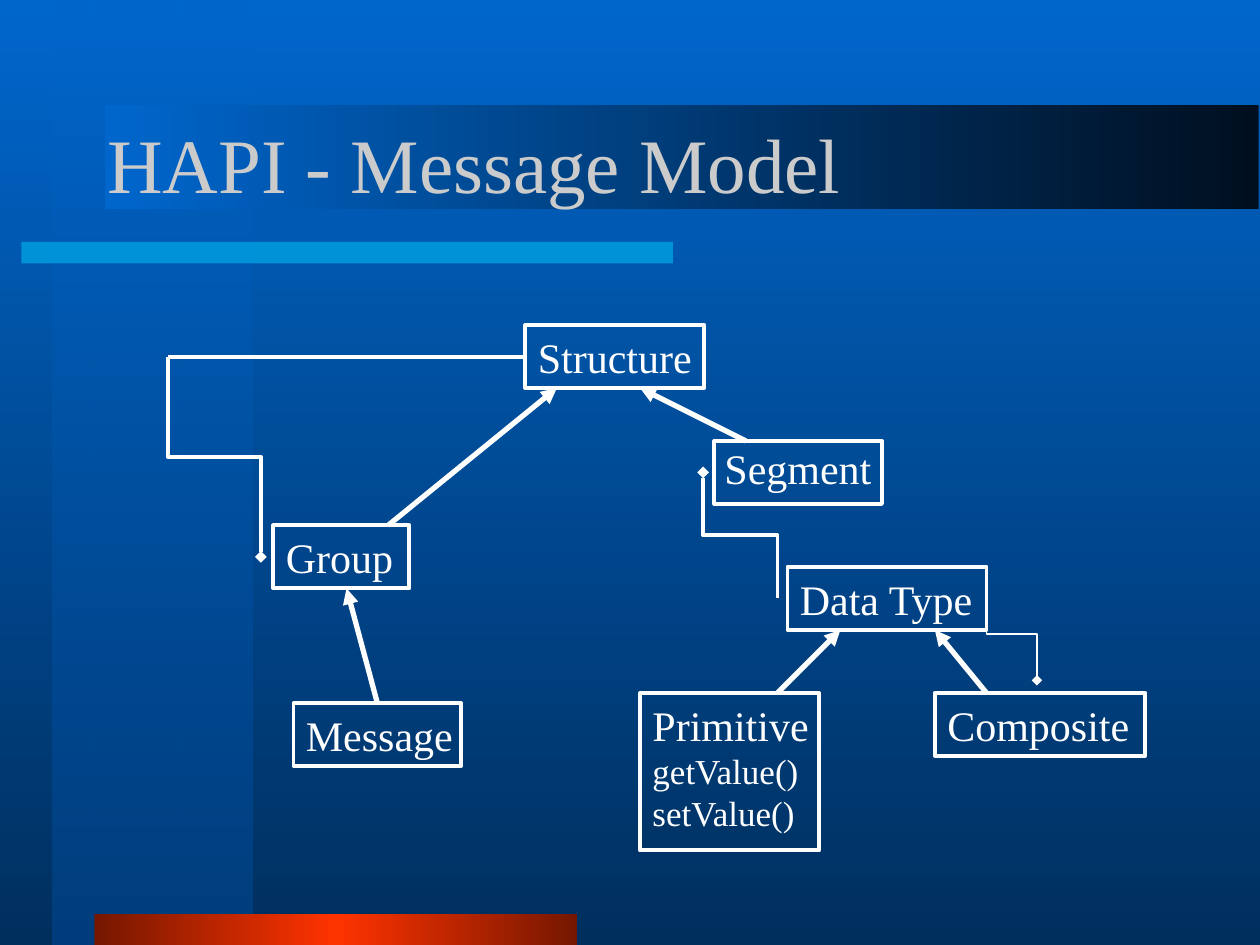
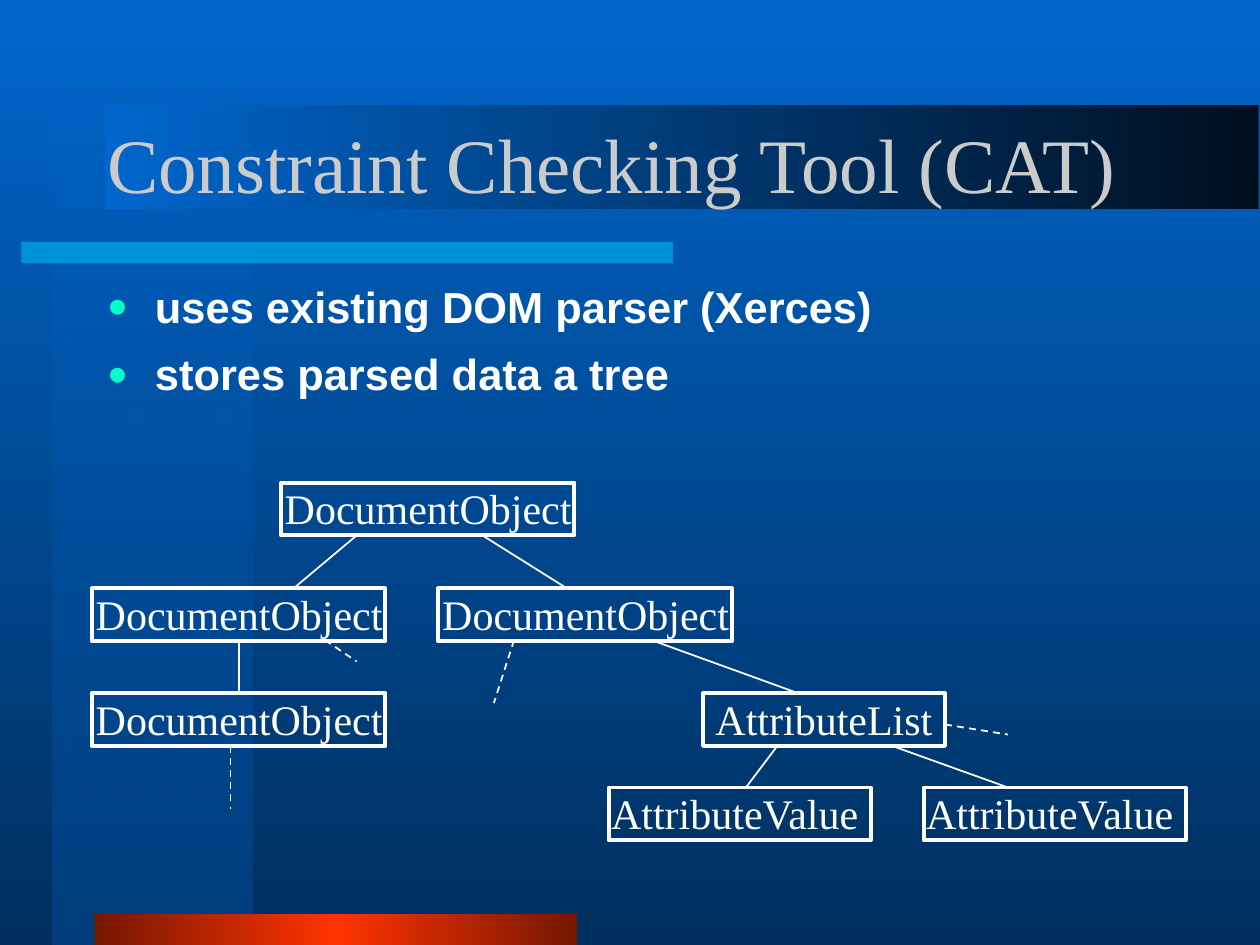
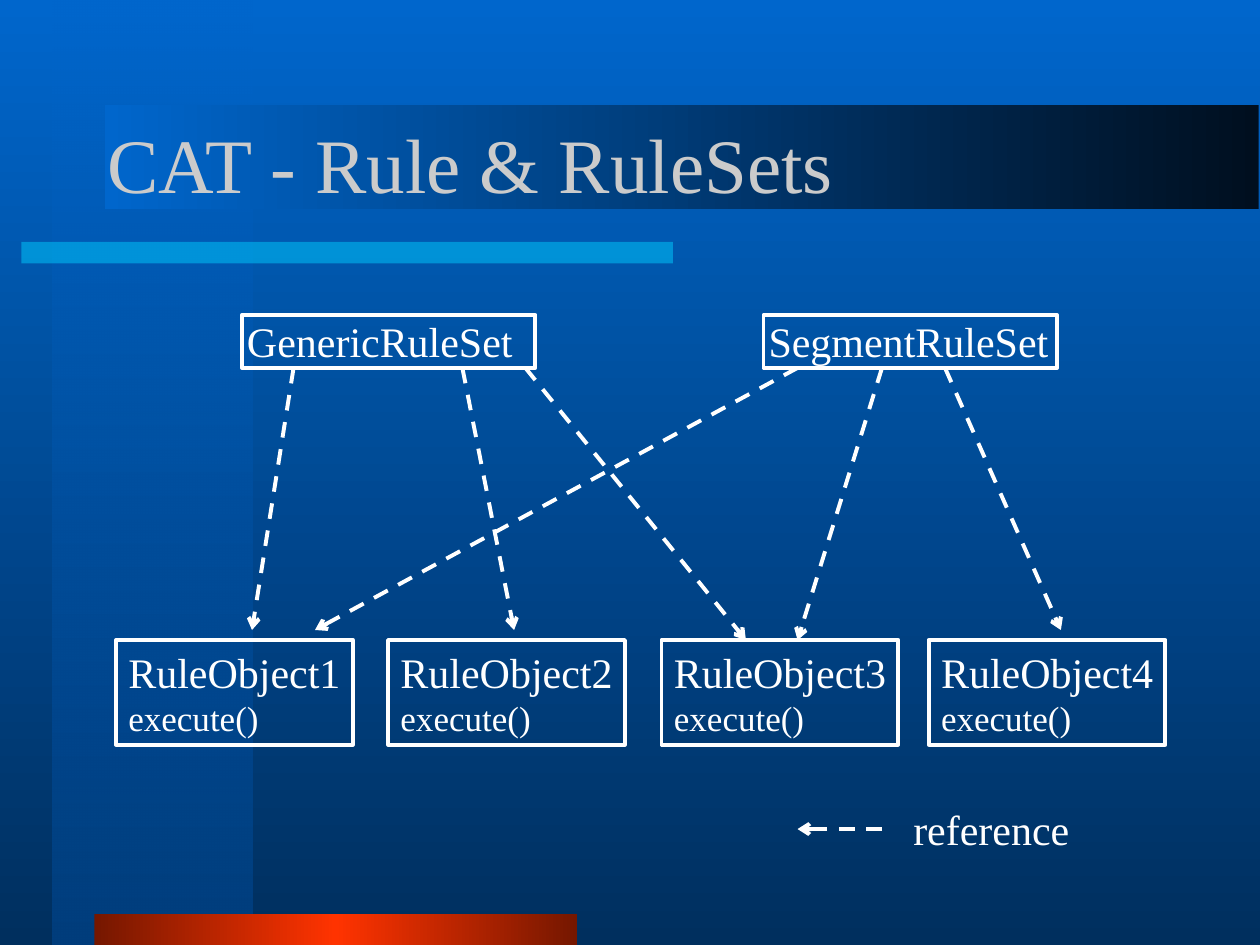
from pptx import Presentation
from pptx.dml.color import RGBColor
from pptx.enum import dml, shapes, text
from pptx.oxml import ns
from pptx.oxml.xmlchemy import OxmlElement
from pptx.util import Inches, Pt


class Theme:
    white = RGBColor.from_string("FFFFFF")
    title = RGBColor.from_string("CBCBCB")
    bar = RGBColor.from_string("00CCFF")
    bullet = "00FFCC"
    # gradient stops: position, colour, opacity in percent
    sky = [(0, "0066CC", 100), (100, "002F5E", 100)]
    side = [(0, "0066CC", 50), (100, "003E7D", 100)]
    footer = [(0, "751700", 100), (50, "FF3300", 100), (100, "751700", 100)]
    banner = [(0, "000F1F", 100), (100, "0066CC", 100)]
    serif, sans = "Times New Roman", "Arial"
    title_size, label_size, method_size, body_size = Pt(44), Pt(24), Pt(20), Pt(24.8)
    thin, outline, thick = Pt(1), Pt(2.25), Pt(3)


def add_box(s, x, y, w, h, lines, left=0.1, top=0.05, outlined=True):
    """Outlined box: a name, then its methods in smaller type."""
    sp = s.shapes.add_shape(shapes.MSO_SHAPE.RECTANGLE, Inches(x), Inches(y), Inches(w), Inches(h))
    sp.shadow.inherit = False
    sp.fill.background()
    if outlined:
        sp.line.color.rgb = Theme.white
        sp.line.width = Theme.outline
    else:
        sp.line.fill.background()
    tf = sp.text_frame
    tf.word_wrap = True
    tf.vertical_anchor = text.MSO_ANCHOR.TOP
    tf.margin_left, tf.margin_top = Inches(left), Inches(top)
    tf.margin_right = tf.margin_bottom = 0
    tf.text = lines
    for i, p in enumerate(tf.paragraphs):
        p.alignment = text.PP_ALIGN.LEFT
        font = p.runs[0].font
        font.name, font.color.rgb = Theme.serif, Theme.white
        font.size = Theme.method_size if i else Theme.label_size
    return sp


def add_line(s, start, end, width, dash=False, head=None, tail=None, elbow=False):
    """White line; an elbow leaves and arrives vertically."""
    (x1, y1), (x2, y2) = start, end
    kind = shapes.MSO_CONNECTOR.ELBOW if elbow else shapes.MSO_CONNECTOR.STRAIGHT
    sp = s.shapes.add_connector(kind, Inches(x1), Inches(y1), Inches(x2), Inches(y2))
    if elbow:
        w, h = abs(y2 - y1), abs(x2 - x1)
        sp.left, sp.top = Inches((x1 + x2 - w) / 2), Inches((y1 + y2 - h) / 2)
        sp.width, sp.height = Inches(w), Inches(h)
        xfrm = sp._element.spPr.find(ns.qn("a:xfrm"))
        xfrm.set("rot", "16200000")
        xfrm.set("flipH", str(int(y2 > y1)))
        xfrm.set("flipV", str(int(x2 < x1)))
    sp.line.color.rgb = Theme.white
    sp.line.width = width
    if dash:
        sp.line.dash_style = dml.MSO_LINE.DASH
    ln = sp._element.spPr.find(ns.qn("a:ln"))
    for tag, arrow in (("a:headEnd", head), ("a:tailEnd", tail)):
        if arrow:
            tip = OxmlElement(tag)
            tip.set("type", arrow)
            ln.append(tip)
    sp._element.spPr.append(OxmlElement("a:effectLst"))
    return sp


prs = Presentation()
prs.slide_width, prs.slide_height = Inches(10), Inches(7.5)
master = prs.slide_master

# Slides and titles
pages = []
for title, layout in (
    ("HAPI - Message Model", 5),
    ("Constraint Checking Tool (CAT)", 1),
    ("CAT - Rule & RuleSets", 5),
):
    s = prs.slides.add_slide(prs.slide_layouts[layout])
    sp = s.shapes.title
    sp.left, sp.top, sp.width, sp.height = Inches(0.75), Inches(0.67), Inches(8.5), Inches(1.25)
    tf = sp.text_frame
    tf.text = title
    tf.auto_size = text.MSO_AUTO_SIZE.NONE
    tf.vertical_anchor = text.MSO_ANCHOR.MIDDLE
    p = tf.paragraphs[0]
    p.alignment = text.PP_ALIGN.LEFT
    font = p.runs[0].font
    font.name, font.size, font.color.rgb = Theme.serif, Theme.title_size, Theme.title
    pages.append(s)
model, tree, rules = pages

# Bands, drawn once and moved to the master
gradients = [(master.background.fill, master._element, Theme.sky, 270)]
for i, (x, y, w, h, stops, angle) in enumerate((
    (0.42, 0, 1.58, 7.5, Theme.side, 270),
    (0.17, 1.92, 5.17, 0.17, None, 0),
    (0.75, 7.25, 3.83, 0.25, Theme.footer, 180),
    (0.83, 0.83, 9.16, 0.83, Theme.banner, 180),
)):
    sp = model.shapes.add_shape(shapes.MSO_SHAPE.RECTANGLE, Inches(x), Inches(y), Inches(w), Inches(h))
    sp.shadow.inherit = False
    sp.line.fill.background()
    if stops:
        gradients.append((sp.fill, sp._element, stops, angle))
    else:
        sp.fill.solid()
        sp.fill.fore_color.rgb = Theme.bar
        alpha = OxmlElement("a:alpha")
        alpha.set("val", "50000")
        next(sp._element.spPr.iter(ns.qn("a:srgbClr"))).append(alpha)
    sp._element.nvSpPr.cNvPr.set("id", str(20 + i))
    master.shapes._spTree.insert(2 + i, sp._element)

for fill, element, stops, angle in gradients:
    fill.gradient()
    fill.gradient_angle = angle
    stop_list = next(element.iter(ns.qn("a:gsLst")))
    for gs in list(stop_list):
        stop_list.remove(gs)
    for position, colour, opacity in stops:
        gs, rgb, alpha = (OxmlElement(tag) for tag in ("a:gs", "a:srgbClr", "a:alpha"))
        gs.set("pos", str(position * 1000))
        rgb.set("val", colour)
        alpha.set("val", str(opacity * 1000))
        rgb.append(alpha)
        gs.append(rgb)
        stop_list.append(gs)

# Slide 1: classes
primitive = add_box(model, 5.08, 5.5, 1.42, 1.25, "Primitive\ngetValue()\nsetValue()")
data_type = add_box(model, 6.25, 4.5, 1.58, 0.5, "Data Type")
segment = add_box(model, 5.67, 3.5, 1.33, 0.5, "Segment", left=0.08, top=0.01)
structure = add_box(model, 4.17, 2.58, 1.42, 0.5, "Structure")
group = add_box(model, 2.17, 4.17, 1.08, 0.5, "Group")
message = add_box(model, 2.33, 5.58, 1.33, 0.5, "Message")
composite = add_box(model, 7.42, 5.5, 1.67, 0.5, "Composite")

# Slide 1: inheritance arrows
for start, end in (
    ((6.17, 5.5), (6.67, 5)),
    ((7.83, 5.5), (7.42, 5)),
    ((3.08, 4.17), (4.42, 3.08)),
    ((5.92, 3.5), (5.08, 3.08)),
):
    add_line(model, start, end, Theme.thick, tail="triangle")
sp = add_line(model, (3, 5.58), (2.75, 4.67), Theme.thick, tail="triangle")
sp.begin_connect(message, 0)

# Slide 1: containment lines
sp = add_line(model, (4.17, 2.83), (1.33, 2.83), Theme.outline)
sp.begin_connect(structure, 1)
for start, end, width in (
    ((2.07, 4.42), (1.33, 2.83), Theme.outline),
    ((5.58, 3.75), (6.17, 4.75), Theme.outline),
    ((8.23, 5.4), (7.83, 4.67), Theme.thin),
):
    add_line(model, start, end, width, head="diamond", elbow=True)

# Slide 2: bullets
body = tree.placeholders[1]
body.left, body.top, body.width, body.height = Inches(0.75), Inches(2.17), Inches(8.5), Inches(1.08)
tf = body.text_frame
tf.text = "uses existing DOM parser (Xerces)\nstores parsed data a tree"
tf.auto_size = text.MSO_AUTO_SIZE.NONE
for i, p in enumerate(tf.paragraphs):
    p.space_before = Pt(9 if i else 0)
    pPr = p._p.get_or_add_pPr()
    pPr.set("marL", str(Inches(0.38)))
    pPr.set("indent", str(-Inches(0.38)))
    colour, rgb, size, char = (
        OxmlElement(tag) for tag in ("a:buClr", "a:srgbClr", "a:buSzPct", "a:buChar"))
    rgb.set("val", Theme.bullet)
    colour.append(rgb)
    size.set("val", "80000")
    char.set("char", "●")
    pPr.extend((colour, size, char))
    font = p.runs[0].font
    font.name, font.size, font.bold = Theme.sans, Theme.body_size, True
    font.color.rgb = Theme.white

# Slide 2: tree nodes
root, parent, sibling, child = [
    add_box(tree, x, y, 2.33, 0.42, "DocumentObject", left=0.03, top=0)
    for x, y in ((2.23, 3.83), (0.73, 4.67), (3.48, 4.67), (0.73, 5.5))
]
add_box(tree, 5.58, 5.5, 1.92, 0.42, "AttributeList", top=0)
for x in (4.83, 7.33):
    add_box(tree, x, 6.25, 2.08, 0.42, "AttributeValue", left=0.02, top=0)

# Slide 2: branches, dashed where the tree goes on
sp = add_line(tree, (1.9, 5.08), (1.9, 5.5), Theme.thin)
sp.begin_connect(parent, 2)
sp.end_connect(child, 0)
for start, end, dash in (
    ((2.33, 4.67), (2.83, 4.25), False),
    ((3.83, 4.25), (4.5, 4.67), False),
    ((5.17, 5.08), (6.33, 5.5), False),
    ((6.17, 5.92), (5.92, 6.25), False),
    ((7.08, 5.92), (8, 6.25), False),
    ((2.58, 5.08), (2.83, 5.25), True),
    ((1.83, 5.92), (1.83, 6.42), True),
    ((4.08, 5.08), (3.92, 5.58), True),
    ((7.5, 5.75), (8, 5.83), True),
):
    add_line(tree, start, end, Theme.thin, dash=dash)

# Slide 3: rule sets and rule objects
for x, name in ((1.92, "GenericRuleSet"), (6.06, "SegmentRuleSet")):
    add_box(rules, x, 2.5, 2.33, 0.42, name, left=0.04, top=0)
for i, x in enumerate((0.92, 3.08, 5.25, 7.37), 1):
    add_box(rules, x, 5.08, 1.88, 0.83, f"RuleObject{i}\nexecute()")

# Slide 3: references and their key
add_box(rules, 7.15, 6.33, 1.44, 0.5, "reference", outlined=False)
for start, end in (
    ((2.33, 2.92), (2, 5)),
    ((3.67, 2.92), (4.08, 5)),
    ((4.17, 2.92), (5.92, 5.08)),
    ((6.33, 2.92), (2.5, 5)),
    ((7, 2.92), (6.33, 5.08)),
    ((7.5, 2.92), (8.42, 5)),
    ((7, 6.58), (6.33, 6.58)),
):
    add_line(rules, start, end, Theme.outline, dash=True, tail="arrow")

prs.save("out.pptx")
